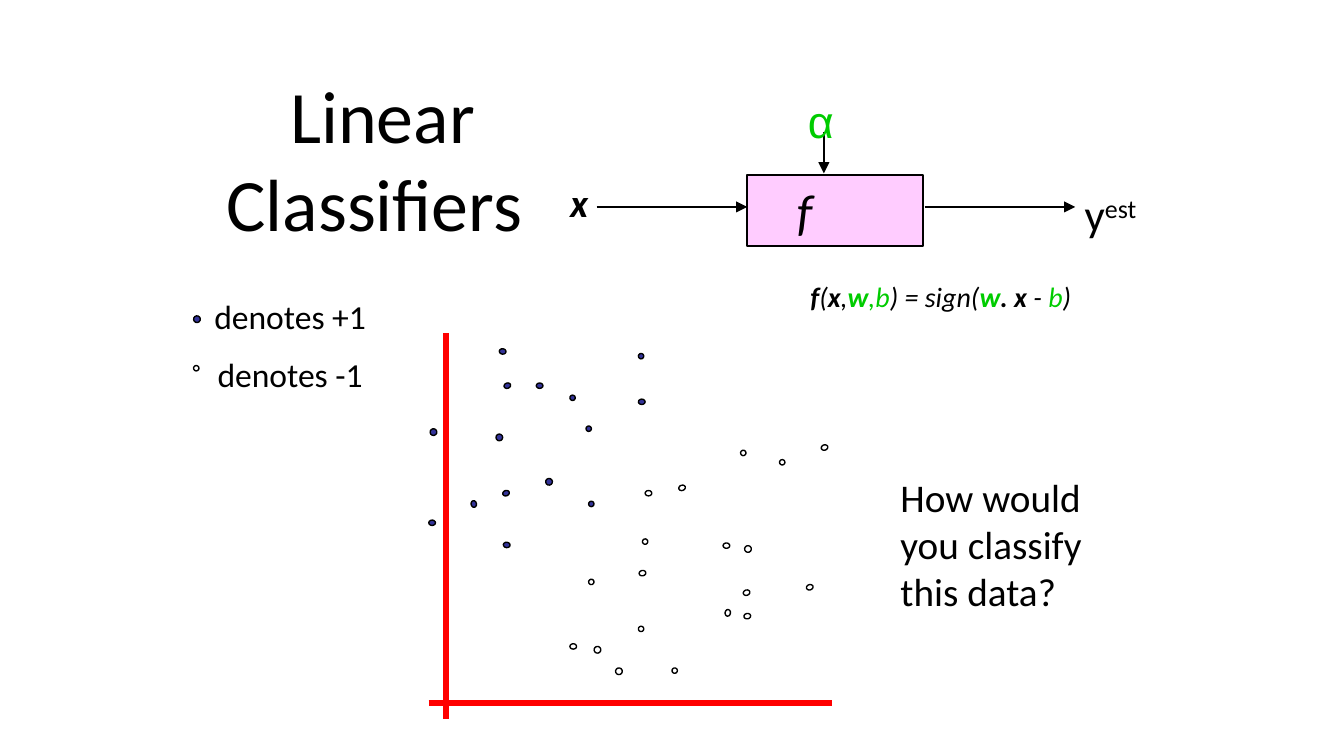
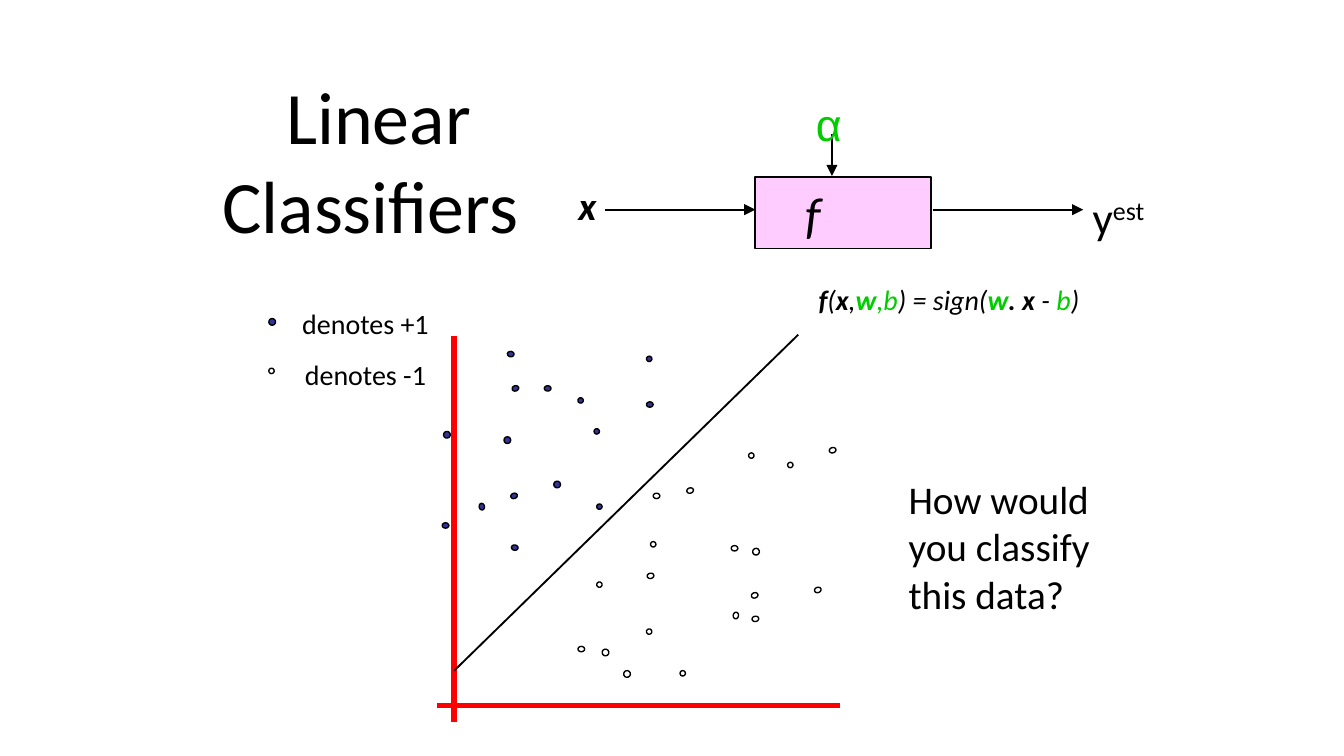
"""Build two slides that introduce linear classifiers with a scatter of two classes."""
from lxml import etree
from pptx import Presentation
from pptx import util as u
from pptx.dml.color import RGBColor
from pptx.enum import shapes, text
from pptx.oxml.ns import qn

COLORS = {"ink": "000000", "green": "00CC00", "pink": "FFCCFF", "plus": "333399",
          "minus": "FFFFFF", "axis": "FF0000"}
BOLD = {"bold": True}
GREEN = {"color": "green"}
FORMULA = [("f", BOLD), ("(", {}), ("x", BOLD), (",", {}), ("w", BOLD | GREEN), (",b", GREEN),
           (") = sign(", {}), ("w", BOLD | GREEN), (". x ", BOLD), ("- ", {}), ("b", GREEN),
           (")", {})]
PLUS_DOTS = [
    (3.19, 3.87, 0.05, 0.04, 0), (4.75, 2.97, 0.05, 0.04, 0), (3.99, 2.85, 0.05, 0.04, 0),
    (4.38, 3.73, 0.04, 0.04, 0), (3.69, 3.23, 0.05, 0.05, 0), (3.75, 2.85, 0.05, 0.04, 341),
    (3.74, 3.65, 0.05, 0.04, 341), (4.36, 3.17, 0.04, 0.04, 98), (3.75, 4.03, 0.04, 0.05, 98),
    (4.75, 2.63, 0.04, 0.04, 98), (3.72, 2.59, 0.04, 0.05, 98), (4.06, 3.56, 0.05, 0.05, 80),
    (3.5, 3.73, 0.05, 0.04, 80), (4.24, 2.94, 0.04, 0.04, 80), (3.2, 3.19, 0.05, 0.05, 80)]
MINUS_DOTS = [
    (4.24, 4.79, 0.05, 0.04, 0), (4.8, 3.65, 0.05, 0.04, 0), (5.38, 4.04, 0.05, 0.04, 0),
    (4.38, 4.31, 0.04, 0.04, 341), (6.11, 3.31, 0.05, 0.04, 341), (5.53, 4.39, 0.05, 0.04, 341),
    (5.05, 3.61, 0.05, 0.04, 341), (6, 4.35, 0.05, 0.04, 341), (4.58, 4.97, 0.05, 0.05, 98),
    (5.54, 4.06, 0.05, 0.05, 98), (4.78, 4.01, 0.04, 0.04, 98), (5.8, 3.42, 0.04, 0.04, 98),
    (5.51, 3.35, 0.04, 0.04, 98), (5.39, 4.54, 0.05, 0.04, 98), (5, 4.97, 0.04, 0.04, 80),
    (4.75, 4.66, 0.04, 0.04, 80), (4.76, 4.24, 0.04, 0.05, 80), (4.42, 4.81, 0.05, 0.05, 80),
    (5.54, 4.56, 0.04, 0.05, 80)]
VARIANTS = [
    {"shift": (0, 0), "title": (0.88, 0.86), "legend": (1.38, 2.16, 1.56, 0.81),
     "legend_size": 18, "keys": (1.44, 2.35), "edge_nudge": 0, "boundary": False},
    {"shift": (0.06, 0.02), "title": (0.85, 0.87), "legend": (1.94, 2.24, 1.56, 0.71),
     "legend_size": 15, "keys": (2, 2.37), "edge_nudge": 0.04, "boundary": True}]


def write(box, lines, size, centred=True, margins=(0.07, 0.04), **base):
    """Fill a box with paragraphs, each a list of (words, format) pairs."""
    frame = box.text_frame
    across, down = (u.Inches(margin) for margin in margins)
    for name, value in {"word_wrap": True, "margin_left": across, "margin_right": across,
                        "margin_top": down, "margin_bottom": down}.items():
        setattr(frame, name, value)
    for number, line in enumerate(lines):
        para = frame.add_paragraph() if number else frame.paragraphs[0]
        para.alignment = text.PP_ALIGN.CENTER if centred else text.PP_ALIGN.LEFT
        if number:
            para.space_before = u.Pt(9.4)
        for words, extra in line:
            span = para.add_run()
            span.text = words
            style = {"name": "Calibri", "size": u.Pt(size), "color": "ink"} | base | extra
            span.font.color.rgb = RGBColor.from_string(COLORS[style.pop("color")])
            raised = style.pop("raised", None)
            for name, value in style.items():
                setattr(span.font, name, value)
            if raised:
                span.font._element.set("baseline", raised)


def draw_line(page, start, end, color="ink", width=1, arrow=False):
    """Draw a straight line between two points given in inches."""
    line = page.shapes.add_connector(shapes.MSO_CONNECTOR.STRAIGHT,
                                     *(u.Inches(value) for value in (*start, *end)))
    line.line.color.rgb = RGBColor.from_string(COLORS[color])
    line.line.width = u.Pt(width)
    if arrow:
        etree.SubElement(line.line._get_or_add_ln(), qn("a:tailEnd"), type="triangle")
    etree.SubElement(line._element.spPr, qn("a:effectLst"))


deck = Presentation()
deck.slide_width = u.Inches(10)
deck.slide_height = deck.slide_width * 9 // 16

for variant in VARIANTS:
    page = deck.slides.add_slide(deck.slide_layouts[6])
    dx, dy = variant["shift"]

    title = page.shapes.add_textbox(*map(u.Inches, (*variant["title"], 3.81, 0.63)))
    title.text_frame.vertical_anchor = text.MSO_ANCHOR.MIDDLE
    write(title, [[(" Linear Classifiers", {})]], 39.6, margins=(0.1, 0.05))

    model = page.shapes.add_shape(shapes.MSO_SHAPE.RECTANGLE,
                                  *map(u.Inches, (5.56 + dx, 1.3 + dy, 1.31, 0.53)))
    model.shadow.inherit = False
    model.fill.solid()
    model.fill.fore_color.rgb = RGBColor.from_string(COLORS["pink"])
    model.line.color.rgb = RGBColor.from_string(COLORS["ink"])
    model.line.width = u.Pt(1)
    model.text_frame.vertical_anchor = text.MSO_ANCHOR.MIDDLE
    write(model, [[("f", {"italic": True})]], 27, centred=False)
    model.text_frame.margin_left = u.Inches(0.37)

    for start, end in [((4.44, 1.54), (5.56, 1.54)), ((6.13, 0.98), (6.13, 1.29)),
                       ((6.88, 1.54), (8, 1.54))]:
        draw_line(page, (start[0] + dx, start[1] + dy), (end[0] + dx, end[1] + dy), arrow=True)

    for place, lines, size, style in [
            ((4.06, 1.29, 0.5, 0.43), [[("x", BOLD)]], 21, {"italic": True}),
            ((5.94, 0.66, 0.31, 0.48), [[("α", GREEN)]], 24, {"name": "Arial"}),
            ((8, 1.35, 0.69, 0.48), [[("y", {}), ("est", {"raised": "30000"})]], 24,
             {"centred": False}),
            ((5.69, 2.04, 2.62, 0.33), [FORMULA], 15, {"italic": True}),
            ((6.63, 3.48, 1.81, 1.14), [[("How would you classify this data?", {})]], 21,
             {"centred": False})]:
        left, top, width, height = place
        box = page.shapes.add_textbox(*map(u.Inches, (left + dx, top + dy, width, height)))
        write(box, lines, size, **style)

    legend = page.shapes.add_textbox(*map(u.Inches, variant["legend"]))
    write(legend, [[("denotes +1", {})], [("denotes -1", {})]], variant["legend_size"])

    draw_line(page, (3.32 + dx, 2.48 + dy), (3.32 + dx, 5.35 + dy), "axis", 3)
    draw_line(page, (3.19 + dx, 5.23 + dy), (6.19 + dx, 5.23 + dy), "axis", 3)

    key_left, key_top = variant["keys"]
    dots = [("plus", key_left, key_top, 0.05, 0.05, 80),
            ("minus", key_left, key_top + 0.37, 0.04, 0.04, 98)]
    for kind, places in (("plus", PLUS_DOTS), ("minus", MINUS_DOTS)):
        for left, top, width, height, turn in places:
            nudge = variant["edge_nudge"] if left < 3.3 else 0
            dots.append((kind, left + dx + nudge, top + dy, width, height, turn))
    for kind, left, top, width, height, turn in dots:
        dot = page.shapes.add_shape(shapes.MSO_SHAPE.OVAL,
                                    *map(u.Inches, (left, top, width, height)))
        dot.shadow.inherit = False
        dot.rotation = turn
        dot.fill.solid()
        dot.fill.fore_color.rgb = RGBColor.from_string(COLORS[kind])
        dot.line.color.rgb = RGBColor.from_string(COLORS["ink"])
        dot.line.width = u.Pt(0.75)

    if variant["boundary"]:
        draw_line(page, (3.38, 4.99), (5.94, 2.49))

deck.save("out.pptx")
